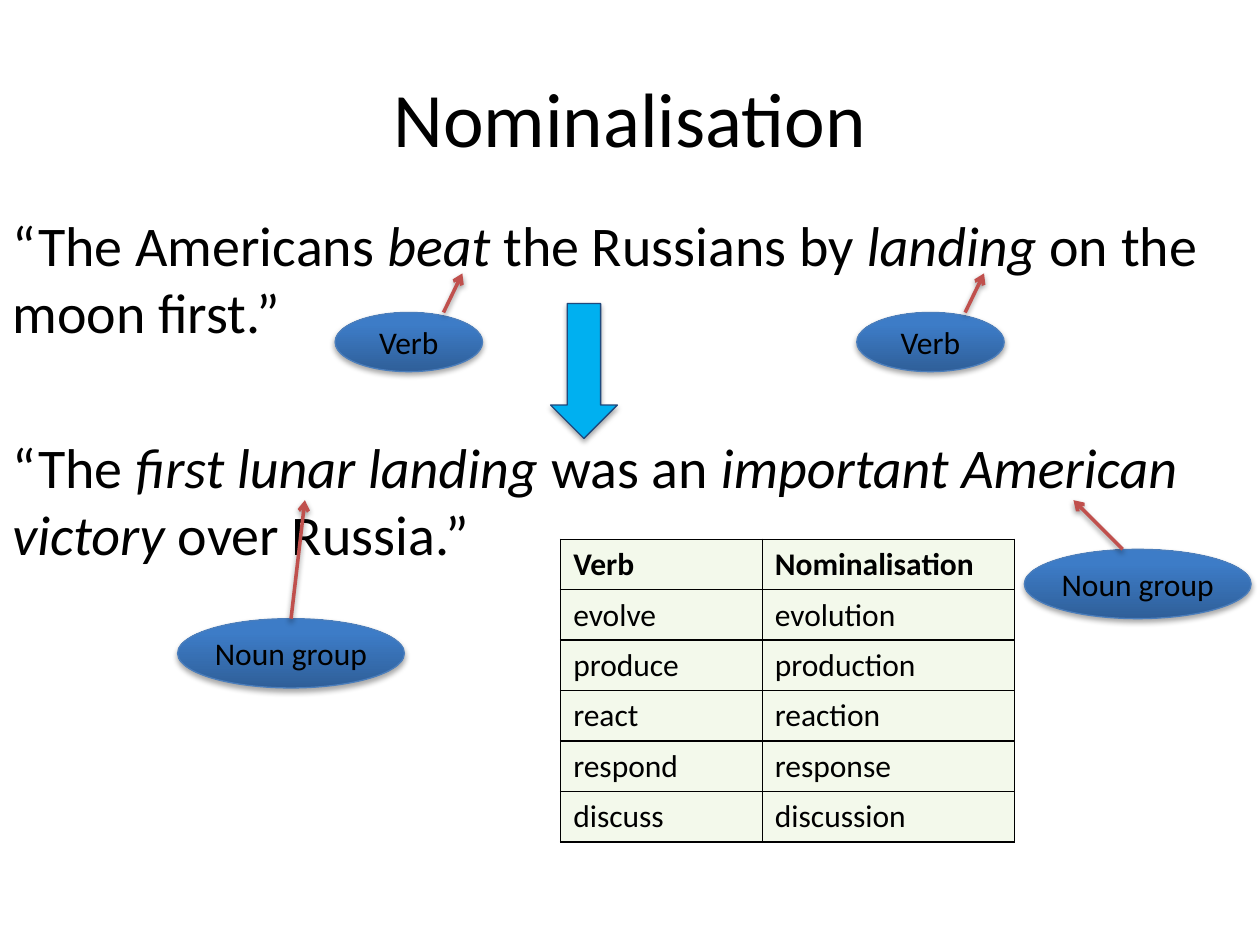
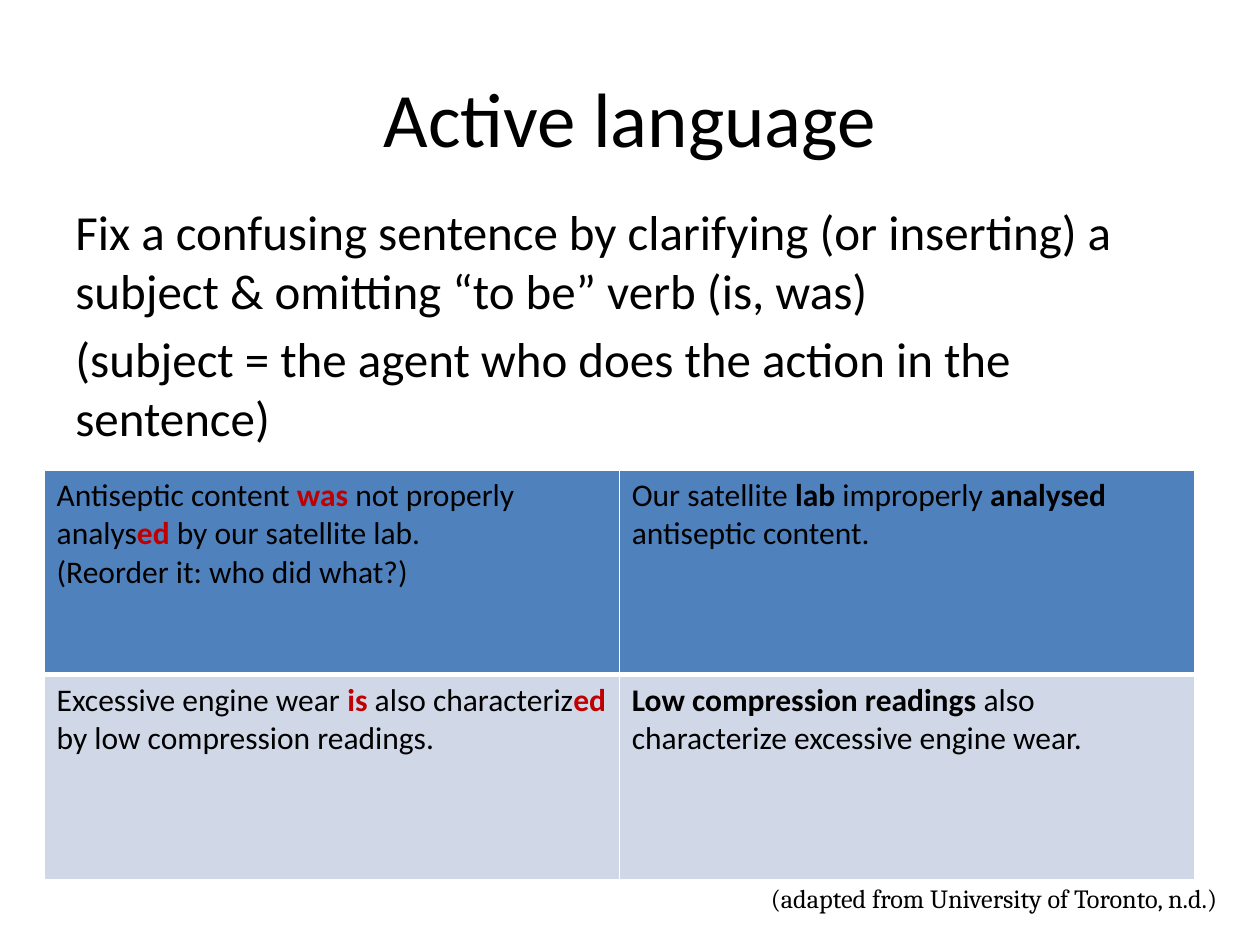
import pptx
import pptx.util
import pptx.dml.color
import pptx.enum.shapes
import pptx.enum.text
import pptx.oxml
import pptx.oxml.ns

RGB = pptx.dml.color.RGBColor
SHAPE = pptx.enum.shapes.MSO_SHAPE
ALIGN = pptx.enum.text.PP_ALIGN
ANCHOR = pptx.enum.text.MSO_ANCHOR

BLACK = RGB(0x00, 0x00, 0x00)
WHITE = RGB(0xFF, 0xFF, 0xFF)
RED = RGB(0xC0, 0x00, 0x00)
ARROW_RED = RGB(0xC0, 0x50, 0x4D)
OVAL_DARK = RGB(0x2F, 0x5F, 0x99)
OVAL_LIGHT = RGB(0x3D, 0x7C, 0xC7)
OVAL_EDGE = RGB(0x4B, 0x7E, 0xBC)
SKY = RGB(0x00, 0xB0, 0xF0)
NAVY = RGB(0x1F, 0x49, 0x7D)
GREEN = RGB(0x92, 0xD0, 0x50)
BLUE = RGB(0x4F, 0x81, 0xBD)
PALE_BLUE = RGB(0xD0, 0xD8, 0xE8)

# The slide is a grid of 100 columns by 75 rows of square cells
COLS, ROWS = 100, 75
CELL = pptx.util.Inches(0.1)


def grid(*cells):
    return [round(c * CELL) for c in cells]


def xml(markup):
    ns = pptx.oxml.ns.nsdecls("a")
    return pptx.oxml.parse_xml(markup.replace(" ", f" {ns} ", 1))


# Text: a run is a plain string or (string, style), style being i, b or red
def add_runs(p, runs, size, font="Calibri"):
    for run in runs:
        text, style = (run, "") if isinstance(run, str) else run
        r = p.add_run()
        r.text = text
        r.font.name = font
        r.font.size = pptx.util.Pt(size)
        r.font.color.rgb = RED if style == "red" else BLACK
        r.font.bold = style in ("b", "red")
        r.font.italic = style == "i"


def add_paragraphs(tf, paragraphs, size, gap=0, font="Calibri", align=None):
    for n, runs in enumerate(paragraphs):
        p = tf.add_paragraph() if n else tf.paragraphs[0]
        p.alignment = align
        if n:
            p.space_before = pptx.util.Pt(gap)
        add_runs(p, runs, size, font)


def add_text(slide, box, paragraphs, size, wrap=True, anchor=ANCHOR.TOP, **style):
    tf = slide.shapes.add_textbox(*grid(*box)).text_frame
    tf.word_wrap = wrap
    tf.vertical_anchor = anchor
    add_paragraphs(tf, paragraphs, size, **style)


def add_titled_slide(prs, title):
    slide = prs.slides.add_slide(prs.slide_layouts[6])
    add_text(slide, (5, 3, 90, 12.5), [[title]], 44,
             anchor=ANCHOR.MIDDLE, align=ALIGN.CENTER)
    return slide


# Shapes and arrows
def add_shadow(sp, alpha):
    sp._element.spPr.append(xml(
        '<a:effectLst ><a:outerShdw blurRad="40000" dist="23000" dir="5400000" rotWithShape="0">'
        f'<a:srgbClr val="000000"><a:alpha val="{alpha * 1000}"/></a:srgbClr>'
        '</a:outerShdw></a:effectLst>'))


def outline(sp, color, width):
    sp.line.color.rgb = color
    sp.line.width = pptx.util.Pt(width)


def add_oval(slide, box, label):
    sp = slide.shapes.add_shape(SHAPE.OVAL, *grid(*box))
    sp.fill.gradient()
    sp.fill.gradient_angle = 90
    stops = sp.fill.gradient_stops
    for stop, position, color in zip(stops, (0, 0.8), (OVAL_DARK, OVAL_LIGHT)):
        stop.position = position
        stop.color.rgb = color
    outline(sp, OVAL_EDGE, 0.75)
    add_shadow(sp, 35)
    tf = sp.text_frame
    tf.word_wrap = False
    tf.margin_left = tf.margin_right = tf.margin_top = tf.margin_bottom = 0
    tf.vertical_anchor = ANCHOR.MIDDLE
    add_paragraphs(tf, [[label]], 18, align=ALIGN.CENTER)
    return sp


def add_arrow(slide, start, end):
    line = slide.shapes.add_connector(
        pptx.enum.shapes.MSO_CONNECTOR.STRAIGHT, *grid(*start, *end))
    outline(line, ARROW_RED, 2)
    line.line._get_or_add_ln().append(xml('<a:tailEnd type="arrow"/>'))
    add_shadow(line, 38)
    return line


def add_down_arrow(slide, box):
    sp = slide.shapes.add_shape(SHAPE.DOWN_ARROW, *grid(*box))
    sp.fill.solid()
    sp.fill.fore_color.rgb = SKY
    outline(sp, NAVY, 0.75)
    add_shadow(sp, 35)


# Tables
def set_borders(cell, color, widths):
    tc_pr = cell._tc.get_or_add_tcPr()
    for side, width in zip("LRTB", widths):
        tc_pr.append(xml(
            f'<a:ln{side} w="{pptx.util.Pt(width)}"><a:solidFill>'
            f'<a:srgbClr val="{color}"/></a:solidFill></a:ln{side}>'))


def set_fill(cell, color, alpha=100):
    cell.fill.solid()
    cell.fill.fore_color.rgb = color
    if alpha < 100:
        srgb = cell._tc.tcPr.find(".//" + pptx.oxml.ns.qn("a:solidFill") + "[last()]/"
                                  + pptx.oxml.ns.qn("a:srgbClr"))
        for fill in cell._tc.tcPr.findall(pptx.oxml.ns.qn("a:solidFill")):
            srgb = fill[0]
        srgb.append(xml(f'<a:alpha val="{alpha * 1000}"/>'))


def add_table(slide, left, top, col_widths, row_height, rows, style_cell):
    """Each cell of rows is a list of paragraphs; style_cell(cell, row) draws it."""
    box = (left, top, sum(col_widths), row_height * len(rows))
    table = slide.shapes.add_table(len(rows), len(col_widths), *grid(*box)).table
    table.first_row = table.horz_banding = False
    for col, width in zip(table.columns, grid(*col_widths)):
        col.width = width
    for n, row in enumerate(rows):
        for m, paragraphs in enumerate(row):
            cell = table.cell(n, m)
            style_cell(cell, n)
            add_paragraphs(cell.text_frame, paragraphs, 18)


def style_word_cell(cell, row):
    set_borders(cell, BLACK, (1, 1, 1, 1))
    set_fill(cell, GREEN, alpha=11)


def style_example_cell(cell, row):
    set_borders(cell, WHITE, (1, 1, 3, 1) if row else (1, 1, 1, 3))
    set_fill(cell, PALE_BLUE if row else BLUE)


# Slides
def build_nominalisation(prs):
    slide = add_titled_slide(prs, "Nominalisation")
    add_text(slide, (0, 16.2, COLS, 51.2), [
        ["“The Americans ", ("beat", "i"), " the Russians by ", ("landing", "i"),
         " on the moon first.”"],
        ["“The ", ("first lunar landing ", "i"), "was an ",
         ("important American victory ", "i"), "over Russia.”"],
    ], 32, gap=50)

    # Verb table
    pairs = [("evolve", "evolution"), ("produce", "production"), ("react", "reaction"),
             ("respond", "response"), ("discuss", "discussion")]
    header = [[[("Verb", "b")]], [[("Nominalisation", "b")]]]
    body = [[[[word]] for word in pair] for pair in pairs]
    add_table(slide, 44.5, 42.8, (16, 20), 4, [header] + body, style_word_cell)

    # Callouts under the verbs
    for left in (26.6, 68):
        add_oval(slide, (left, 24.8, 11.7, 4.7), "Verb")
        add_arrow(slide, (left + 8.6, 24.8), (left + 10.1, 21.7))

    # Callouts under the noun groups
    landing = add_oval(slide, (14.1, 49.1, 18, 5.5), "Noun group")
    add_arrow(slide, (23.1, 49.1), (24.2, 39.7)).begin_connect(landing, 0)
    add_oval(slide, (81.3, 43.6, 18, 5.5), "Noun group")
    add_arrow(slide, (89.1, 43.6), (85.2, 39.7))

    add_down_arrow(slide, (43.7, 24.1, 5.3, 10.7))


def build_active_language(prs):
    slide = add_titled_slide(prs, "Active language")
    add_text(slide, (5, 15.5, 90, 21), [
        ["Fix a confusing sentence by clarifying (or inserting) a subject "
         "& omitting “to be” verb (is, was)"],
        ["(subject = the agent who does the action in the sentence)"],
    ], 28, gap=5.2)
    add_text(slide, (60.2, 69.5, 39.4, 3.5),
             [["(adapted from University of Toronto, n.d.)"]], 15,
             wrap=False, font="Cambria")

    # Passive sentences on the left, active ones on the right
    add_table(slide, 3.5, 37.3, (45.65, 45.65), 16.25, [
        [[["Antiseptic content ", ("was ", "red"), "not properly analys", ("ed", "red"),
           " by our satellite lab."],
          ["(Reorder it: who did what?)"]],
         [["Our satellite ", ("lab", "b"), " improperly ", ("analysed ", "b"),
           "antiseptic content."]]],
        [[["Excessive engine wear ", ("is", "red"), " also characteriz", ("ed", "red"),
           " by low compression readings."]],
         [[("Low compression readings", "b"),
           " also characterize excessive engine wear."]]],
    ], style_example_cell)


def main():
    prs = pptx.Presentation()
    prs.slide_width, prs.slide_height = grid(COLS, ROWS)
    build_nominalisation(prs)
    build_active_language(prs)
    prs.save("out.pptx")


if __name__ == "__main__":
    main()
